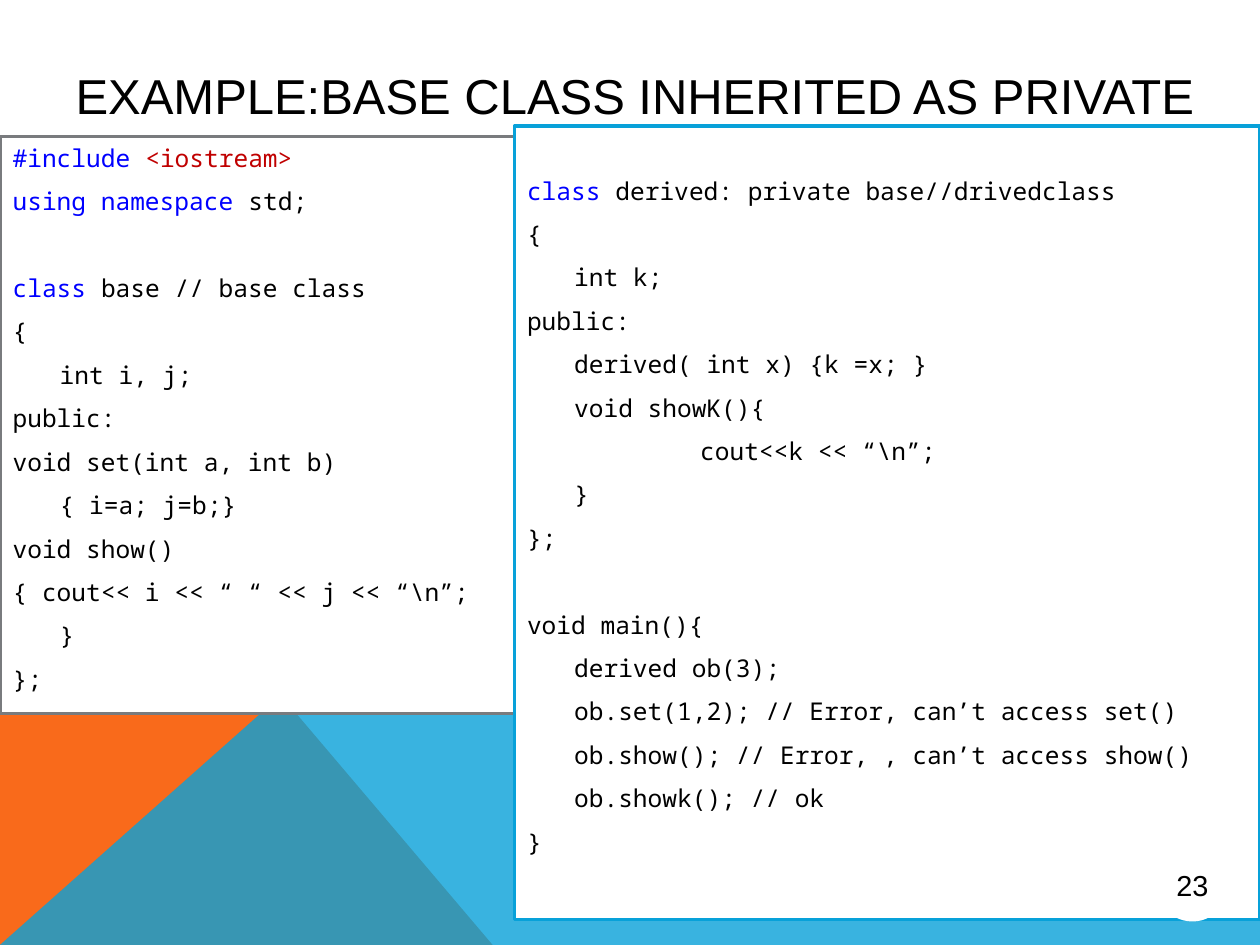
from lxml.etree import SubElement
from pptx import Presentation
from pptx.dml.color import RGBColor
from pptx.enum.shapes import MSO_SHAPE
from pptx.enum.text import MSO_ANCHOR, MSO_AUTO_SIZE, PP_ALIGN
from pptx.oxml.ns import qn
from pptx.util import Cm, Pt

BLACK, WHITE, BLUE, RED = "000000", "FFFFFF", "0000FF", "C00000"
LINE_GAP, BLANK_LINE = 8, 24.8
CODE_INDENT, TAB_WIDTH = Cm(0.95), Cm(2.54)
GAP = None

BASE_CODE = [
    [("#include ", BLUE), ("<iostream>", RED)],
    [("using namespace ", BLUE), ("std;", BLACK)],
    GAP,
    [("class", BLUE), (" base // base class", BLACK)],
    "{",
    "\tint i, j;",
    "public:",
    "void set(int a, int b)",
    "\t{ i=a; j=b;}",
    "void show()",
    "{ cout<< i << “ “ << j << “\\n”;",
    "\t}",
    "};",
]
DERIVED_CODE = [
    [("class", BLUE), (" derived: private base//drivedclass", BLACK)],
    "{",
    "\tint k;",
    "public:",
    "\tderived( int x) {k =x; }",
    "\tvoid showK(){",
    "\t\tcout<<k << “\\n”;",
    "\t}",
    "};",
    GAP,
    "void main(){",
    "\tderived ob(3);",
    "\tob.set(1,2); // Error, can’t access set()",
    "\tob.show(); // Error, , can’t access show()",
    "\tob.showk(); // ok",
    "}",
]


def color(code):
    """Turn a hex string into a colour."""
    return RGBColor.from_string(code)


def set_values(target, values):
    """Set attributes of an object from a dict."""
    for name, value in values.items():
        setattr(target, name, value)


def place(shape, box):
    """Move a shape to a box given as left, top, width, height in centimetres."""
    names = ("left", "top", "width", "height")
    set_values(shape, dict(zip(names, map(Cm, box))))


def add_span(para, text, font, size, code=BLACK):
    """Add one formatted run to a paragraph."""
    span = para.add_run()
    span.text = text
    set_values(span.font, {"name": font, "size": Pt(size), "bold": False})
    span.font.color.rgb = color(code)


def add_band(page, box, corners, fill, opacity=100):
    """Draw a filled polygon whose corners are relative to the box."""
    left, top, width, height = box
    points = [(Cm(left + width * x), Cm(top + height * y)) for x, y in corners]
    builder = page.shapes.build_freeform(*points[0], scale=1.0)
    builder.add_line_segments(points[1:], close=True)
    band = builder.convert_to_shape()
    band.shadow.inherit = False
    band.fill.solid()
    band.fill.fore_color.rgb = color(fill)
    band.line.fill.background()
    if opacity < 100:
        tint = band.element.spPr.find(qn("a:solidFill"))[0]
        SubElement(tint, qn("a:alpha"), val=str(opacity * 1000))


def add_backdrop(page, box):
    """Draw the two coloured bands at the foot of the page."""
    peak, foot = 0.223, 0.391
    add_band(page, box, [(0, 1), (0, 0), (peak, 0), (foot, 1)], "F96A1B")
    add_band(page, box, [(0, 1), (peak, 0), (1, 0), (1, 1)], "08A1D9", 80)


def fill_code(panel, box, lines, border, top_inset=0.13):
    """Write a code listing into a bordered body placeholder."""
    place(panel, box)
    panel.fill.solid()
    panel.fill.fore_color.rgb = color(WHITE)
    panel.line.color.rgb = color(border)
    panel.line.width = Pt(2)
    frame = panel.text_frame
    set_values(frame, {
        "word_wrap": True,
        "auto_size": MSO_AUTO_SIZE.NONE,
        "vertical_anchor": MSO_ANCHOR.TOP,
        "margin_top": Cm(top_inset),
    })
    indents = {"marL": CODE_INDENT, "indent": -CODE_INDENT, "defTabSz": TAB_WIDTH}
    para, space = frame.paragraphs[0], LINE_GAP
    for line in lines:
        if line is GAP:
            space += BLANK_LINE
            continue
        if para is None:
            para = frame.add_paragraph()
        set_values(para, {"space_before": Pt(space), "line_spacing": 1.0})
        properties = para._p.get_or_add_pPr()
        for name, value in indents.items():
            properties.set(name, str(value))
        SubElement(properties, qn("a:buNone"))
        spans = [(line, BLACK)] if isinstance(line, str) else line
        for text, code in spans:
            add_span(para, text, "Noto Sans Mono", 14, code)
        para, space = None, LINE_GAP


def add_page_number(page, box, number):
    """Draw the page number on a white disc."""
    disc = page.shapes.add_shape(MSO_SHAPE.OVAL, *map(Cm, box))
    disc.shadow.inherit = False
    disc.fill.solid()
    disc.fill.fore_color.rgb = color(WHITE)
    disc.line.color.rgb = color(WHITE)
    disc.line.width = Pt(1.5)
    frame = disc.text_frame
    sides = ("left", "top", "right", "bottom")
    set_values(frame, {f"margin_{side}": Cm(0.03) for side in sides})
    set_values(frame, {"vertical_anchor": MSO_ANCHOR.MIDDLE, "word_wrap": False})
    para = frame.paragraphs[0]
    para.alignment = PP_ALIGN.CENTER
    add_span(para, number, "Arial", 16.5)


def fill_title(title, box, text):
    """Write the heading into the title placeholder."""
    place(title, box)
    set_values(title.text_frame, {
        "word_wrap": True,
        "auto_size": MSO_AUTO_SIZE.NONE,
        "vertical_anchor": MSO_ANCHOR.MIDDLE,
    })
    para = title.text_frame.paragraphs[0]
    para.alignment = PP_ALIGN.LEFT
    add_span(para, text, "Arial", 28)


def build_page(deck):
    """Build the page with two code listings."""
    page = deck.slides.add_slide(deck.slide_layouts[3])
    title, base_panel, derived_panel = page.placeholders
    add_backdrop(page, (0, 14.02, 25.4, 5.03))
    for panel in (base_panel, derived_panel, title):
        panel.element.getparent().append(panel.element)
    fill_code(base_panel, (0, 2.75, 10.37, 11.63), BASE_CODE, "797B7E")
    fill_code(derived_panel, (10.37, 2.54, 15.03, 16), DERIVED_CODE, "08A1D9", 1)
    add_page_number(page, (23.34, 17.15, 1.4, 1.4), "23")
    fill_title(title, (1.27, 0.64, 23.5, 2.54),
               "EXAMPLE:BASE CLASS INHERITED AS PRIVATE")


deck = Presentation()
set_values(deck, {"slide_width": Cm(25.4), "slide_height": Cm(19.05)})
build_page(deck)
deck.save("out.pptx")
